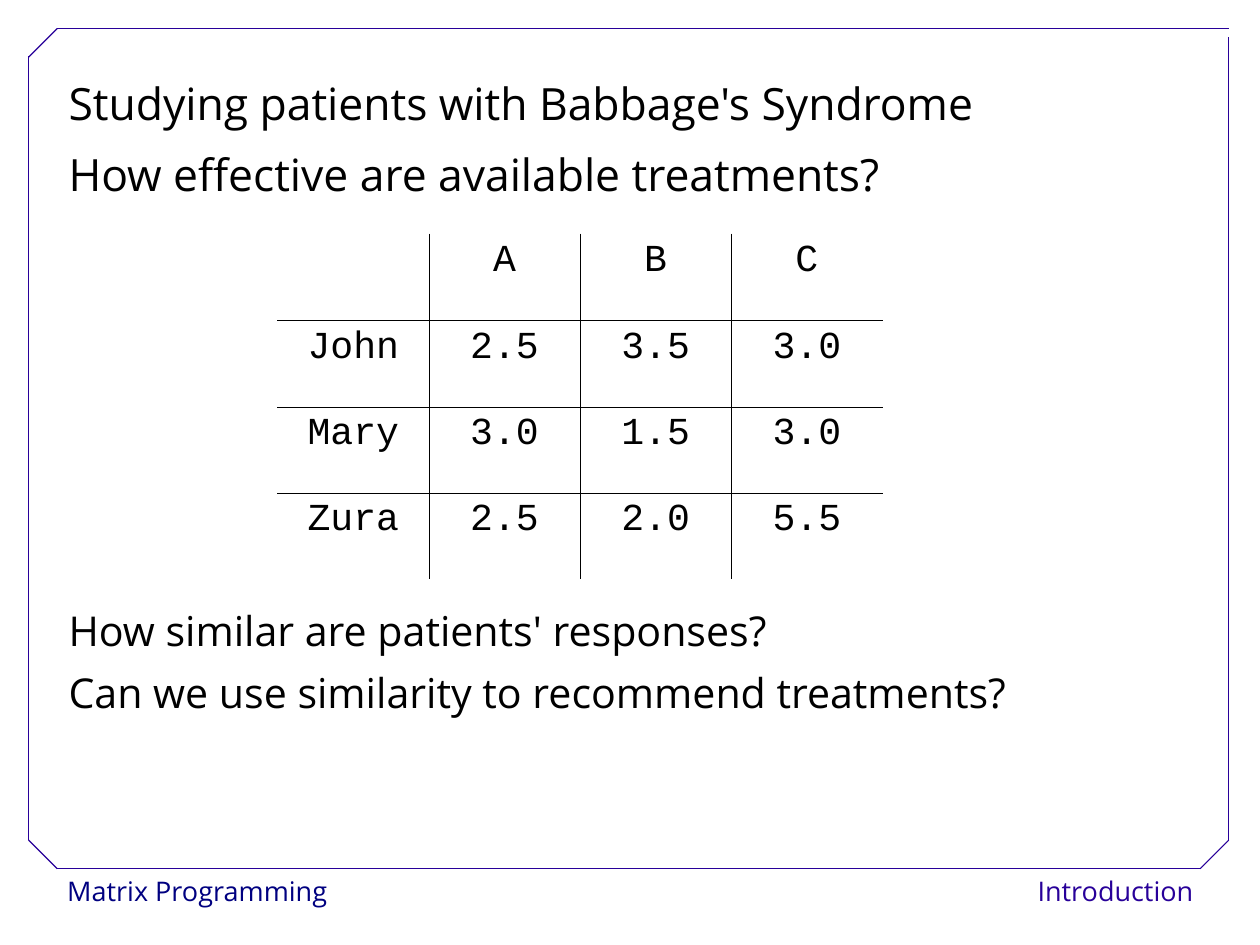
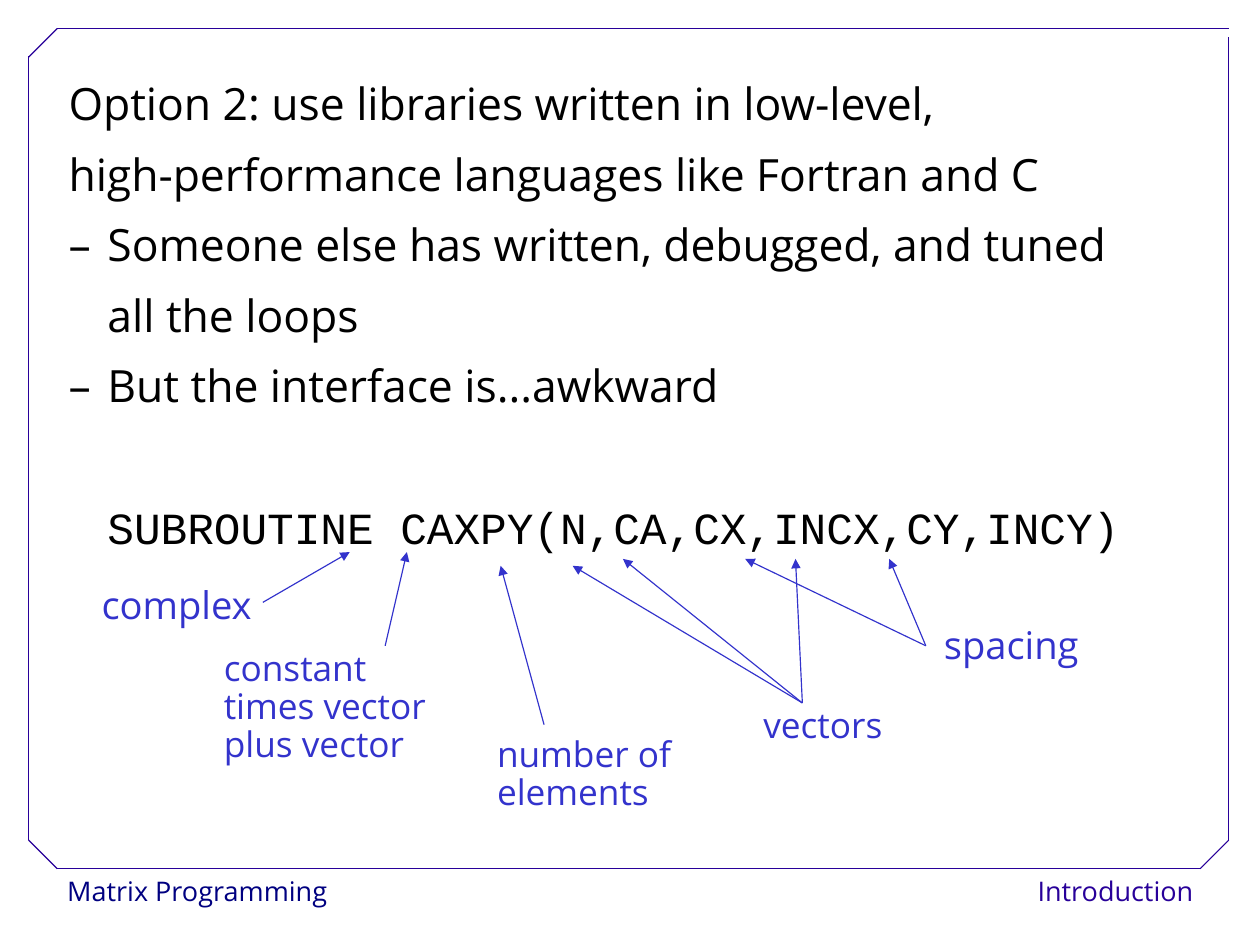
from pptx import Presentation
from pptx import util as u
from pptx.dml.color import RGBColor
from pptx.enum import shapes, text
from pptx.oxml.ns import qn
from lxml import etree

SANS, MONO = "Open Sans", "Courier New"
BLACK, WHITE, NAVY, INDIGO, BLUE = "000000", "FFFFFF", "000080", "280099", "3333CC"
INDENT = 0.34
GAP = 14.3

FRAME = [
    ((0.5, 7.6), (10.5, 7.6)),
    ((0.25, 7.35), (0.25, 0.49)),
    ((0.5, 0.25), (10.75, 0.25)),
    ((10.75, 7.35), (10.75, 0.32)),
    ((0.25, 0.5), (0.5, 0.25)),
    ((10.5, 7.6), (10.75, 7.35)),
    ((0.25, 7.35), (0.5, 7.6)),
]
FOOTERS = [
    ("Matrix Programming", 0.49, 2.6, text.PP_ALIGN.LEFT, NAVY),
    ("Introduction", 8.94, 1.6, text.PP_ALIGN.RIGHT, INDIGO),
]

PATIENT_TITLE = ["Studying patients with Babbage's Syndrome",
                 "How effective are available treatments?"]
PATIENT_QUESTIONS = ["How similar are patients' responses?",
                     "Can we use similarity to recommend treatments?"]
RESPONSES = [
    ["", "A", "B", "C"],
    ["John", "2.5", "3.5", "3.0"],
    ["Mary", "3.0", "1.5", "3.0"],
    ["Zura", "2.5", "2.0", "5.5"],
]

LIBRARY_TITLE = ["Option 2: use libraries written in low-level,",
                 "high-performance languages like Fortran and C"]
LIBRARY_POINTS = [
    ("Someone else has written, debugged, and tuned", "–"),
    ("all the loops", None),
    ("But the interface is...awkward", "–"),
]
SIGNATURE = "SUBROUTINE CAXPY(N,CA,CX,INCX,CY,INCY)"
LABELS = [
    (["complex"], (0.79, 5.08, 1.57, 0.5), 24, 0.9),
    (["constant", "times vector", "plus vector"], (1.86, 5.65, 2.39, 1.26), 22.2, 0.9),
    (["number of", "elements"], (4.25, 6.4, 2.39, 0.88), 22.2, 0.9),
    (["vectors"], (6.58, 6.15, 1.32, 0.57), 22.2, 0.9),
    (["spacing"], (8.16, 5.39, 1.83, 0.57), 24, 1.0),
]
ARROWS = [
    ((2.3, 5.27), [(3.06, 4.83)]),
    ((3.37, 5.65), [(3.56, 4.83)]),
    ((4.76, 6.34), [(4.38, 4.95)]),
    ((7.02, 6.15), [(5.01, 4.95), (5.45, 4.89), (6.96, 4.89)]),
    ((8.1, 5.65), [(6.52, 4.89), (7.78, 4.89)]),
]


def rgb(color):
    return RGBColor.from_string(color)


def place(sp, box):
    sp.left, sp.top, sp.width, sp.height = (u.Inches(v) for v in box)


def prepare(tf, wrap=True):
    tf.word_wrap = wrap
    tf.auto_size = text.MSO_AUTO_SIZE.NONE
    tf.vertical_anchor = text.MSO_ANCHOR.TOP


def add_paragraph(tf, words, size, color=BLACK, font=SANS, spacing=0.9, before=0,
                  after=0, align=text.PP_ALIGN.LEFT, bullet=None, margin=0):
    p = tf.paragraphs[0]
    if p.runs:
        p = tf.add_paragraph()
    pPr = p._p.get_or_add_pPr()
    pPr.set("marL", str(u.Inches(margin)))
    pPr.set("indent", str(u.Inches(-margin if bullet else 0)))
    if bullet:
        etree.SubElement(pPr, qn("a:buFont")).set("typeface", font)
        etree.SubElement(pPr, qn("a:buChar")).set("char", bullet)
    else:
        etree.SubElement(pPr, qn("a:buNone"))
    p.alignment = align
    p.line_spacing = spacing
    p.space_before, p.space_after = u.Pt(before), u.Pt(after)
    r = p.add_run()
    r.text = words
    r.font.size, r.font.name = u.Pt(size), font
    r.font.color.rgb = rgb(color)


def add_line(s, start, end, color, arrow=False):
    ends = [u.Inches(v) for v in start + end]
    cn = s.shapes.add_connector(shapes.MSO_CONNECTOR.STRAIGHT, *ends)
    cn.line.color.rgb = rgb(color)
    cn.line.width = u.Pt(0.75)
    if arrow:
        ln = cn.line._get_or_add_ln()
        etree.SubElement(ln, qn("a:tailEnd")).set("type", "triangle")
    etree.SubElement(cn._element.spPr, qn("a:effectLst"))
    return cn


def add_footer(s, words, left, width, align, color):
    sp = s.shapes.add_shape(shapes.MSO_SHAPE.RECTANGLE, 0, 0, 0, 0)
    place(sp, (left, 7.6, width, 0.4))
    sp.shadow.inherit = False
    sp.fill.solid()
    sp.fill.fore_color.rgb = rgb(WHITE)
    sp.line.fill.background()
    prepare(sp.text_frame, wrap=False)
    add_paragraph(sp.text_frame, words, 17, color, spacing=1.02, align=align)
    return sp


def decorate_layout(layout, s):
    parts = [add_footer(s, *footer) for footer in FOOTERS]
    parts += [add_line(s, start, end, INDIGO) for start, end in FRAME]
    for part in parts:
        layout.element.cSld.spTree.append(part._element)
    place(layout.placeholders[0], (0.5, 0.67, 9.93, 1.24))


def fill_title(s, lines):
    tf = s.shapes.title.text_frame
    prepare(tf)
    for line in lines:
        add_paragraph(tf, line, 28, after=GAP)


def open_body(s, box):
    body = s.placeholders[1]
    place(body, box)
    prepare(body.text_frame)
    return body.text_frame


def add_border(cell, side):
    ln = etree.SubElement(cell._tc.get_or_add_tcPr(), qn("a:" + side))
    ln.set("w", str(u.Pt(0.45)))
    fill = etree.SubElement(ln, qn("a:solidFill"))
    etree.SubElement(fill, qn("a:srgbClr")).set("val", BLACK)


def add_responses(s):
    rows, cols = len(RESPONSES), len(RESPONSES[0])
    box = [u.Inches(v) for v in (2.43, 2.05, 5.29, 3.02)]
    tbl = s.shapes.add_table(rows, cols, *box).table
    tbl.first_row = tbl.horz_banding = False
    for i, row in enumerate(RESPONSES):
        for j, value in enumerate(row):
            cell = tbl.cell(i, j)
            inner = {"lnL": j > 0, "lnR": j < cols - 1, "lnT": i > 0, "lnB": i < rows - 1}
            for side, shown in inner.items():
                if shown:
                    add_border(cell, side)
            cell.fill.background()
            if value:
                add_paragraph(cell.text_frame, value, 24, font=MONO, spacing=0.93,
                              after=GAP, align=text.PP_ALIGN.CENTER)


def build_patients(s):
    fill_title(s, PATIENT_TITLE)
    tf = open_body(s, (0.5, 5.33, 9, 1.26))
    for line in PATIENT_QUESTIONS:
        add_paragraph(tf, line, 25.9, spacing=0.8, after=GAP)
    add_responses(s)


def build_libraries(s):
    fill_title(s, LIBRARY_TITLE)
    tf = open_body(s, (0.5, 1.9, 9.93, 3.06))
    for line, bullet in LIBRARY_POINTS:
        add_paragraph(tf, line, 28, after=GAP, bullet=bullet, margin=INDENT)
    add_paragraph(tf, SIGNATURE, 28, font=MONO, before=44.6, margin=INDENT)
    for lines, box, size, spacing in LABELS:
        tb = s.shapes.add_textbox(0, 0, 0, 0)
        place(tb, box)
        prepare(tb.text_frame)
        for line in lines:
            add_paragraph(tb.text_frame, line, size, BLUE, spacing=spacing)
    for start, targets in ARROWS:
        for target in targets:
            add_line(s, start, target, BLUE, arrow=True)


def main():
    prs = Presentation()
    prs.slide_width, prs.slide_height = u.Cm(28), u.Cm(21)
    layout = prs.slide_layouts[1]
    patients = prs.slides.add_slide(layout)
    libraries = prs.slides.add_slide(layout)
    decorate_layout(layout, patients)
    build_patients(patients)
    build_libraries(libraries)
    prs.save("out.pptx")


if __name__ == "__main__":
    main()
